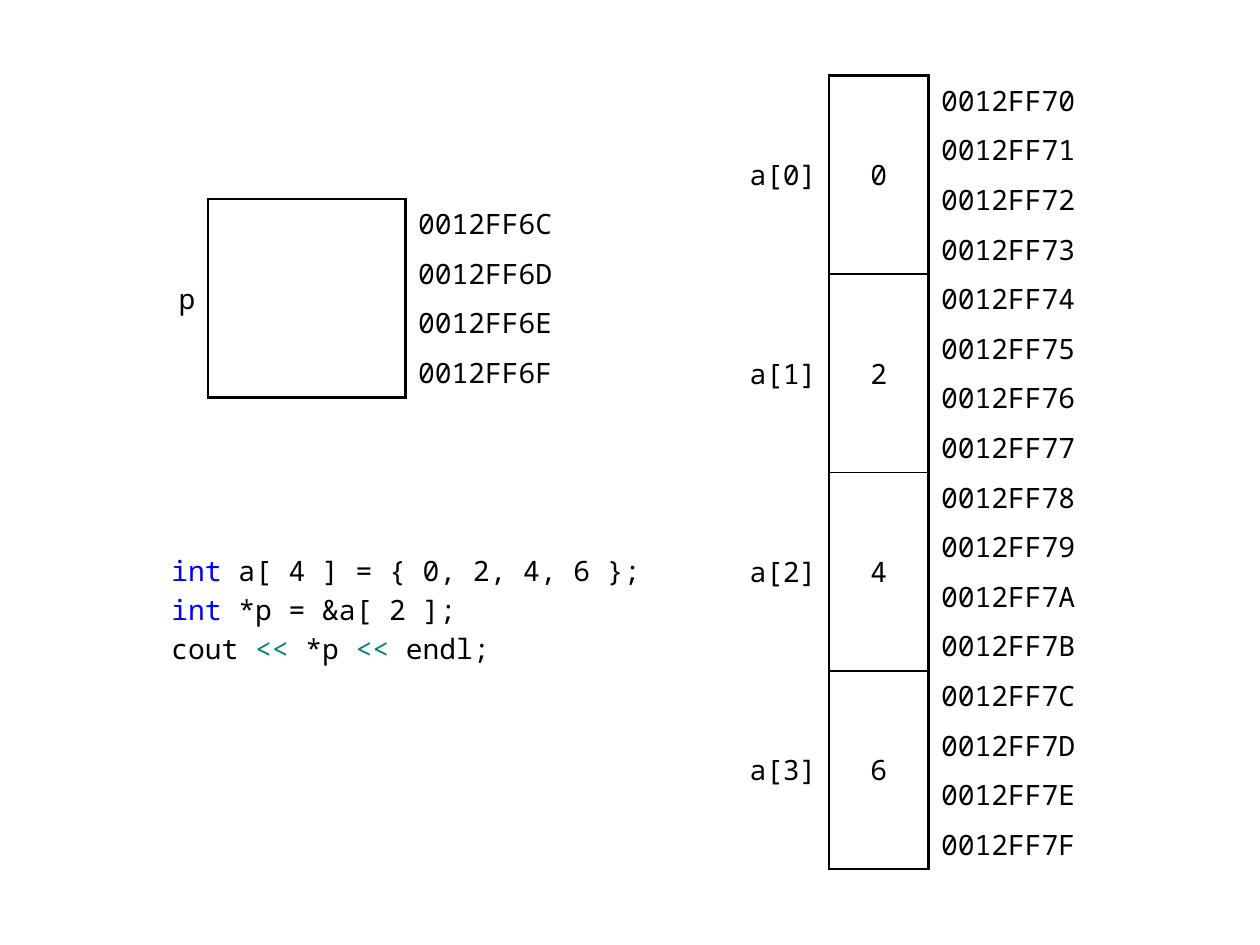
import dataclasses

import pptx
import pptx.dml.color
import pptx.enum.text
import pptx.oxml
import pptx.oxml.ns
import pptx.util

Inches = pptx.util.Inches
Pt = pptx.util.Pt
Align = pptx.enum.text.PP_ALIGN

FONT = "Noto Sans Mono"
BLACK, BLUE, TEAL = "000000", "0000FF", "008080"
THICK, THIN = 1.5, 1
SPAN = 4  # bytes in each variable
ROW = Inches(6.3) // 16
PLAIN = "{2D5ABB26-0587-4C30-8999-92F81FD0307C}"  # table style without grid

CODE = [
    [("int ", BLUE), ("a[ 4 ] = { 0, 2, 4, 6 };", BLACK)],
    [("int ", BLUE), ("*p = &a[ 2 ];", BLACK)],
    [("cout ", BLACK), ("<<", TEAL), (" *p ", BLACK), ("<<", TEAL),
     (" endl;", BLACK)],
]


@dataclasses.dataclass
class Item:
    label: str
    value: str


@dataclasses.dataclass
class Block:
    left: float
    top: float
    widths: list[float]
    start: int
    items: list[Item]


BLOCKS = [
    Block(5.79, 0.6, [0.79, 0.79, 1.38], 0x12FF70,
          [Item(f"a[{i}]", str(2 * i)) for i in range(4)]),
    Block(1.26, 1.58, [0.39, 1.57, 1.38], 0x12FF6C, [Item("p", "")]),
]


def paint(font, color: str) -> None:
    font.color.rgb = pptx.dml.color.RGBColor.from_string(color)


def add_run(para, text: str, color: str = BLACK) -> None:
    run = para.add_run()
    run.text = text
    run.font.name = FONT
    run.font.size = Pt(16)
    paint(run.font, color)


def fill_cell(cell, text: str, align: Align) -> None:
    para = cell.text_frame.paragraphs[0]
    para.alignment = align
    if text:
        add_run(para, text)


def set_edges(cell, **edges: float) -> None:
    """Draw cell borders; give widths in points in the order L, R, T, B."""
    props = cell._tc.get_or_add_tcPr()
    for spot, (side, width) in enumerate(edges.items()):
        line = pptx.oxml.parse_xml(
            f'<a:ln{side} {pptx.oxml.ns.nsdecls("a")} w="{Pt(width)}">'
            f'<a:solidFill><a:srgbClr val="{BLACK}"/></a:solidFill>'
            f'</a:ln{side}>')
        props.insert(spot, line)


def draw_block(slide, block: Block) -> None:
    count = SPAN * len(block.items)
    table = slide.shapes.add_table(
        count, len(block.widths), Inches(block.left), Inches(block.top),
        Inches(sum(block.widths)), ROW * count).table
    table.first_row = table.horz_banding = False
    table._tbl.tblPr[0].text = PLAIN
    for col, width in zip(table.columns, block.widths):
        col.width = Inches(width)
    for row in table.rows:
        row.height = ROW
    for cell in table.iter_cells():
        cell.fill.background()
        cell.vertical_anchor = pptx.enum.text.MSO_ANCHOR.MIDDLE
        cell.margin_top = cell.margin_bottom = Inches(0.02)

    for i in range(count):
        fill_cell(table.cell(i, 2), f"{block.start + i:08X}", Align.LEFT)
        set_edges(table.cell(i, 2), L=THICK)

    for i, item in enumerate(block.items):
        first, last = i * SPAN, (i + 1) * SPAN - 1
        upper = THICK if i == 0 else THIN
        lower = THICK if last == count - 1 else THIN
        for row in range(first, last + 1):
            set_edges(table.cell(row, 0), R=THICK)
            set_edges(table.cell(row, 1), L=THICK, R=THICK, T=upper, B=lower)
        for col in range(2):
            table.cell(first, col).merge(table.cell(last, col))
        fill_cell(table.cell(first, 0), item.label, Align.RIGHT)
        fill_cell(table.cell(first, 1), item.value, Align.CENTER)


def write_code(body) -> None:
    body.left, body.top = Inches(1.26), Inches(4.34)
    body.width, body.height = Inches(3.94), Inches(1.38)
    frame = body.text_frame
    frame.word_wrap = False
    frame.auto_size = pptx.enum.text.MSO_AUTO_SIZE.NONE
    for i, line in enumerate(CODE):
        para = frame.add_paragraph() if i else frame.paragraphs[0]
        props = para._p.get_or_add_pPr()
        props.set("marL", "0")
        props.set("indent", "0")
        props.append(pptx.oxml.parse_xml(
            f'<a:buNone {pptx.oxml.ns.nsdecls("a")}/>'))
        if i == 0:
            para.space_before = Pt(0)
        for text, color in line:
            add_run(para, text, color)


def main() -> None:
    deck = pptx.Presentation()
    deck.slide_width, deck.slide_height = Inches(10), Inches(7.5)
    slide = deck.slides.add_slide(deck.slide_layouts[1])
    title = slide.shapes.title.element
    title.getparent().remove(title)
    write_code(slide.placeholders[1])
    for block in BLOCKS:
        draw_block(slide, block)
    deck.save("out.pptx")


if __name__ == "__main__":
    main()
